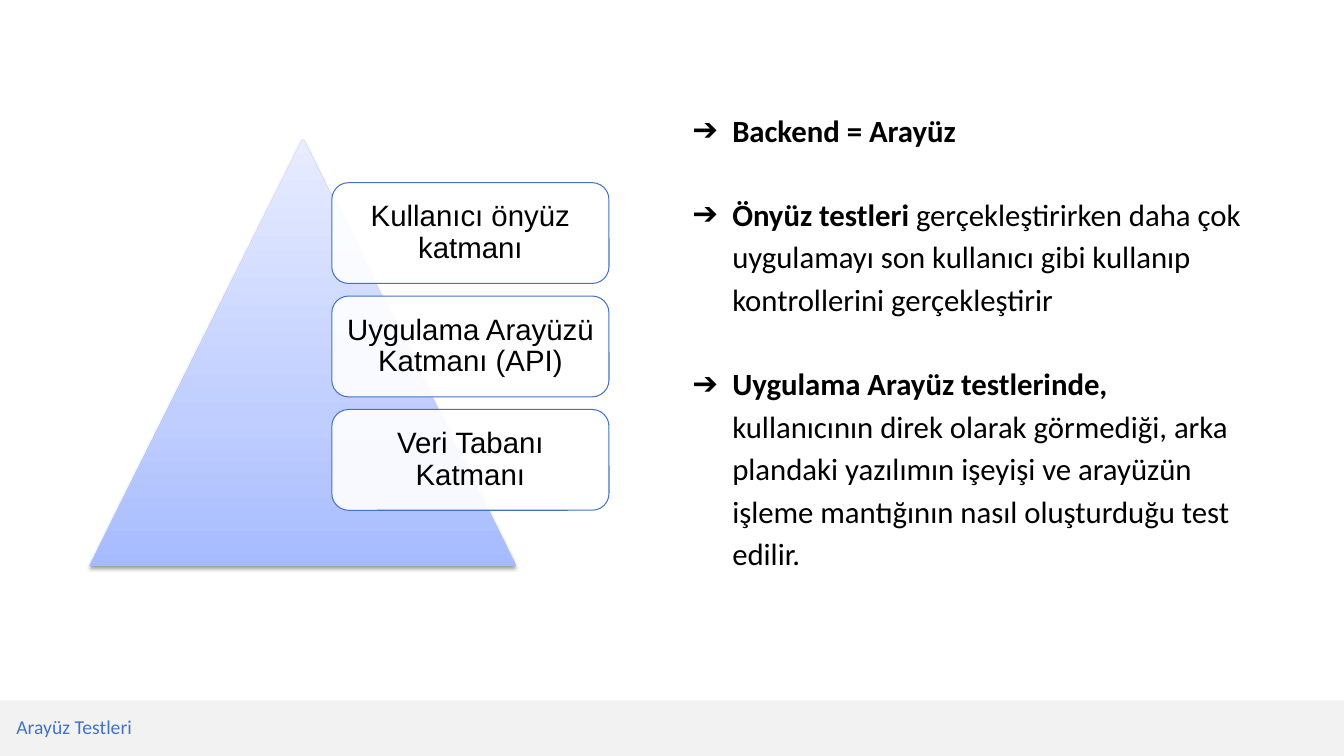
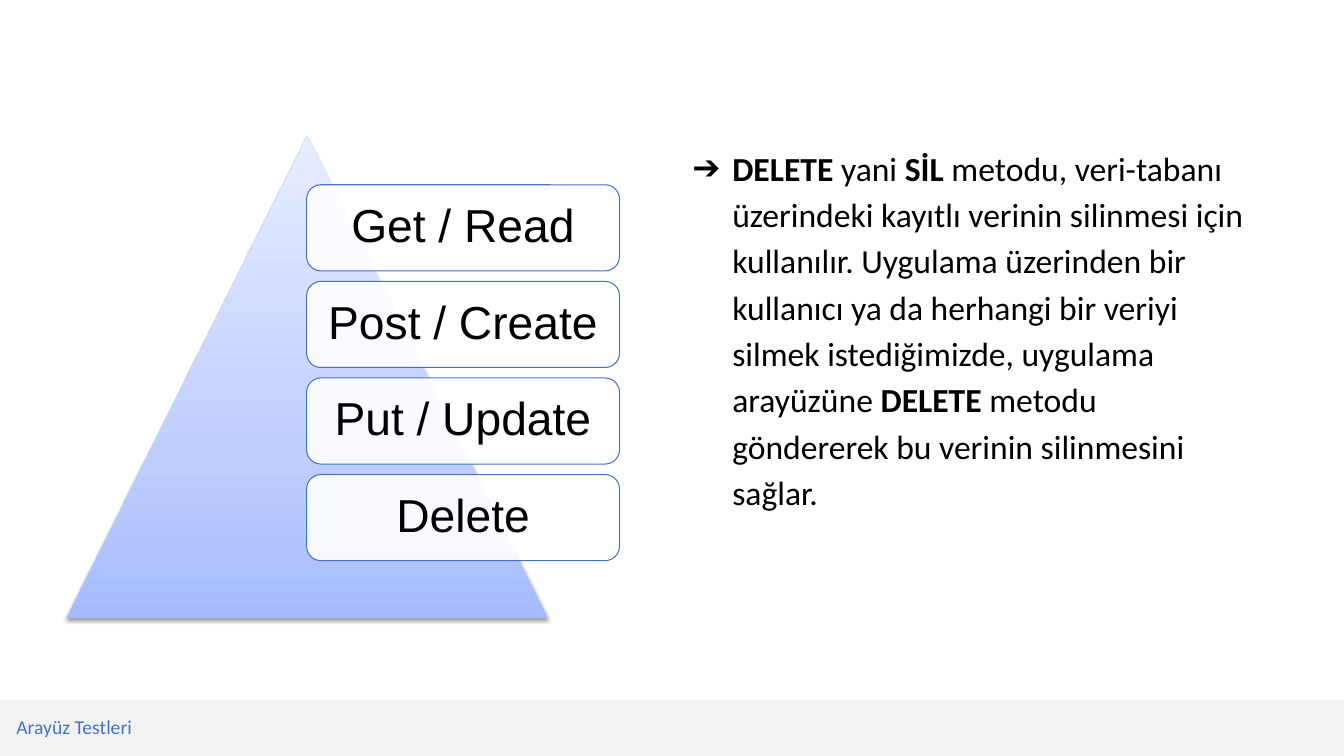
from lxml.etree import SubElement
from pptx import Presentation
from pptx.dml.color import RGBColor
from pptx.enum.shapes import MSO_SHAPE
from pptx.enum.text import MSO_ANCHOR, MSO_AUTO_SIZE, PP_ALIGN
from pptx.oxml.ns import qn
from pptx.util import Pt

PX = 9525  # EMU in one px, 1280 x 720 px to a slide
WHITE = RGBColor(0xFF, 0xFF, 0xFF)
BLACK = RGBColor(0x00, 0x00, 0x00)
BLUE = RGBColor(0x44, 0x72, 0xC4)
BAND_GREY = RGBColor(0xF2, 0xF2, 0xF2)
PYRAMID_STOPS = [
    (0, RGBColor(0xA6, 0xBB, 0xFF)),
    (35, RGBColor(0xC0, 0xCE, 0xFF)),
    (100, RGBColor(0xE7, 0xEC, 0xFF)),
]
SECTION = "Arayüz Testleri"

# Bullets are lists of (text, bold) spans
SLIDES = [
    {
        "pyramid": (85, 132, 407),
        "layers": ["Kullanıcı önyüz katmanı", "Uygulama Arayüzü Katmanı (API)",
                   "Veri Tabanı Katmanı"],
        "first_layer": (316, 174, 264, 96),
        "layer_gap": 12,
        "layer_inset": 7,
        "layer_size": 21,
        "text_box": (640, 96, 555, 480),
        "text_size": 22,
        "bullets": [
            [("Backend = Arayüz", True)],
            [("Önyüz testleri ", True),
             ("gerçekleştirirken daha çok uygulamayı son kullanıcı gibi kullanıp "
              "kontrollerini gerçekleştirir", False)],
            [("Uygulama Arayüz testlerinde, ", True),
             ("kullanıcının direk olarak görmediği, arka plandaki yazılımın işeyişi ve "
              "arayüzün işleme mantığının nasıl oluşturduğu test edilir.", False)],
        ],
    },
    {
        "pyramid": (63, 130, 459),
        "layers": ["Get / Read", "Post / Create", "Put / Update", "Delete"],
        "first_layer": (292, 176, 298, 82),
        "layer_gap": 10,
        "layer_inset": 10,
        "layer_size": 33,
        "text_box": (640, 130, 569, 362),
        "text_size": 24,
        "bullets": [
            [("DELETE ", True), ("yani ", False), ("SİL ", True),
             ("metodu, veri-tabanı üzerindeki kayıtlı verinin silinmesi için kullanılır. "
              "Uygulama üzerinden bir kullanıcı ya da herhangi bir veriyi silmek "
              "istediğimizde, uygulama arayüzüne ", False),
             ("DELETE ", True),
             ("metodu göndererek bu verinin silinmesini sağlar.", False)],
        ],
    },
]


def add_shape(page, kind, left, top, width, height):
    shape = page.shapes.add_shape(kind, left * PX, top * PX, width * PX, height * PX)
    shape.shadow.inherit = False
    shape.line.fill.background()
    return shape


def add_color(parent, color, alpha=None):
    node = SubElement(parent, qn("a:srgbClr"), val=str(color))
    if alpha is not None:
        SubElement(node, qn("a:alpha"), val=str(alpha * 1000))


deck = Presentation()
deck.slide_width, deck.slide_height = 1280 * PX, 720 * PX
layout = deck.slide_layouts[5]
for placeholder in list(layout.placeholders):
    if placeholder.placeholder_format.idx != 0:
        layout.shapes.element.remove(placeholder.element)

for number, content in enumerate(SLIDES):
    page = deck.slides.add_slide(layout)

    # Footer band, kept on the shared layout
    if number == 0:
        band = add_shape(page, MSO_SHAPE.RECTANGLE, 0, 667, 1280, 53)
        band.fill.solid()
        band.fill.fore_color.rgb = BAND_GREY
        layout.shapes.element.insert(2, band.element)

    # Section title in the band
    title = page.shapes.title
    title.left, title.top, title.width, title.height = 6 * PX, 672 * PX, 541 * PX, 36 * PX
    frame = title.text_frame
    frame.text = SECTION
    frame.auto_size = MSO_AUTO_SIZE.NONE
    frame.vertical_anchor = MSO_ANCHOR.BOTTOM
    para = frame.paragraphs[0]
    para.alignment = PP_ALIGN.LEFT
    para.line_spacing = 0.9
    para.font.name, para.font.size = "Calibri", Pt(14)
    para.font.color.rgb = BLUE

    # Bulleted text
    left, top, width, height = content["text_box"]
    box = page.shapes.add_textbox(left * PX, top * PX, width * PX, height * PX)
    frame = box.text_frame
    frame.word_wrap = True
    for index, spans in enumerate(content["bullets"]):
        para = frame.add_paragraph() if index else frame.paragraphs[0]
        para.line_spacing = 1.15
        para.space_before = Pt(30 if index else 0)
        para.font.name, para.font.size = "Calibri", Pt(content["text_size"])
        para.font.color.rgb = BLACK
        for text, bold in spans:
            span = para.add_run()
            span.text = text
            span.font.bold = bold
        properties = para._p.get_or_add_pPr()
        properties.set("marL", str(48 * PX))
        properties.set("indent", str(-38 * PX))
        bullet_color = SubElement(properties, qn("a:buClr"))
        add_color(bullet_color, BLACK)
        bullet_font = SubElement(properties, qn("a:buFont"), typeface="Arial")
        bullet = SubElement(properties, qn("a:buChar"), char="➔")
        # Schema order: the bullet comes before the default run properties
        defaults = properties.find(qn("a:defRPr"))
        for part in (bullet_color, bullet_font, bullet):
            defaults.addprevious(part)

    # Pyramid with a gradient and a soft shadow
    left, top, side = content["pyramid"]
    pyramid = add_shape(page, MSO_SHAPE.ISOSCELES_TRIANGLE, left, top, side, side)
    pyramid.fill.gradient()
    pyramid.fill.gradient_angle = 90
    stops = pyramid.element.spPr.find(".//" + qn("a:gsLst"))
    stops.clear()
    for position, color in PYRAMID_STOPS:
        add_color(SubElement(stops, qn("a:gs"), pos=str(position * 1000)), color)
    effects = pyramid.element.spPr.find(qn("a:effectLst"))
    shadow = SubElement(effects, qn("a:outerShdw"), blurRad=str(Pt(3.1)),
                        dist=str(Pt(1.6)), dir="5400000", rotWithShape="0")
    add_color(shadow, BLACK, 38)

    # Layer boxes down the pyramid
    left, top, width, height = content["first_layer"]
    for index, label in enumerate(content["layers"]):
        layer_top = top + index * (height + content["layer_gap"])
        layer = add_shape(page, MSO_SHAPE.ROUNDED_RECTANGLE, left, layer_top, width, height)
        layer.fill.solid()
        layer.fill.fore_color.rgb = WHITE
        fill_color = layer.element.spPr.find(qn("a:solidFill")).find(qn("a:srgbClr"))
        SubElement(fill_color, qn("a:alpha"), val="90000")
        layer.line.color.rgb = BLUE
        layer.line.width = Pt(0.75)
        frame = layer.text_frame
        frame.text = label
        frame.word_wrap = True
        frame.vertical_anchor = MSO_ANCHOR.MIDDLE
        frame.margin_left = frame.margin_right = content["layer_inset"] * PX
        frame.margin_top = frame.margin_bottom = content["layer_inset"] * PX
        para = frame.paragraphs[0]
        para.alignment = PP_ALIGN.CENTER
        para.line_spacing = 0.9
        para.font.name, para.font.size = "Arial", Pt(content["layer_size"])
        para.font.color.rgb = BLACK

deck.save("out.pptx")
